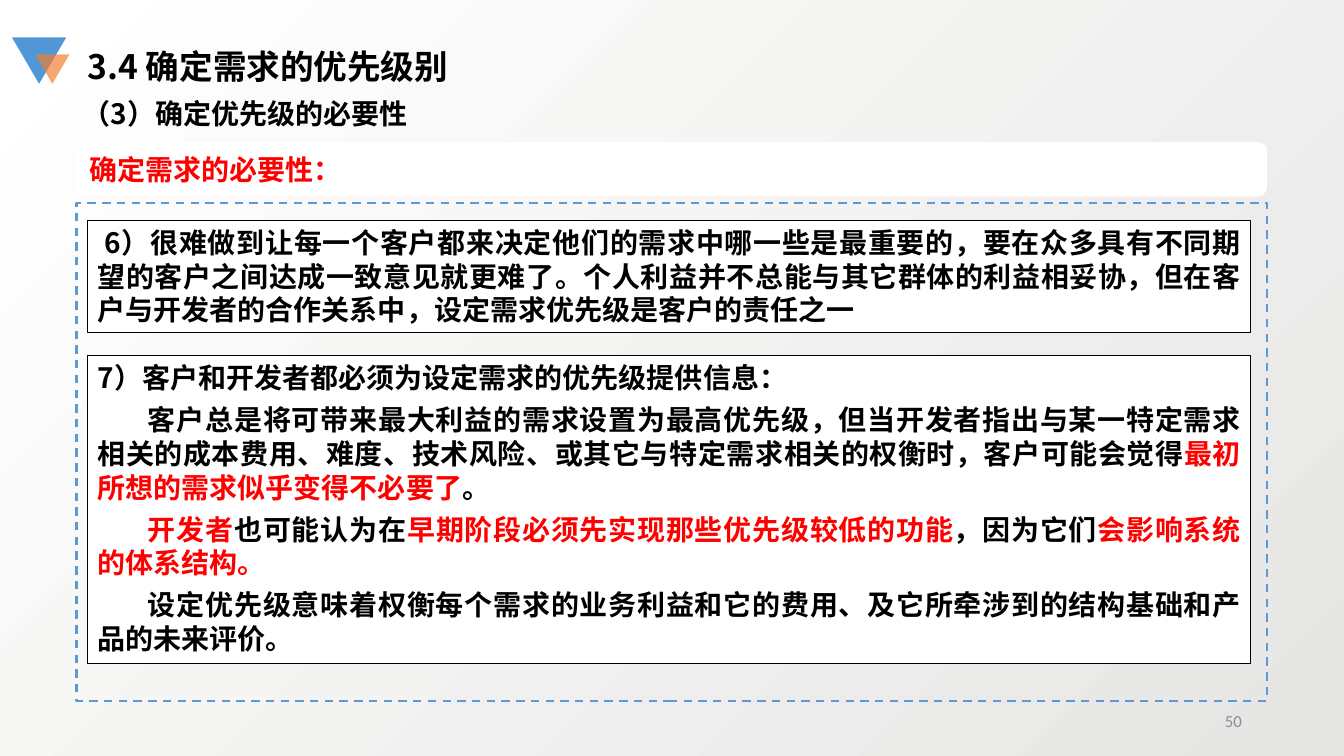
"""Build the slide on why requirements need priorities."""
from lxml.etree import SubElement
from pptx import Presentation
from pptx.dml.color import RGBColor
from pptx.enum.dml import MSO_LINE
from pptx.enum.shapes import MSO_SHAPE
from pptx.enum.text import MSO_ANCHOR, PP_ALIGN
from pptx.oxml.ns import qn
from pptx.util import Cm, Pt

BLACK = RGBColor(0, 0, 0)
WHITE = RGBColor(255, 255, 255)
RED = RGBColor(255, 0, 0)
GREY = RGBColor(0x8C, 0x8C, 0x8C)
PALE = RGBColor(0xE6, 0xE6, 0xE5)
BLUE = RGBColor(0x51, 0x97, 0xD7)
EDGE = RGBColor(0x5B, 0x9B, 0xD5)
ORANGE = RGBColor(0xF3, 0x7D, 0x2A)
SANS = "Noto Sans CJK SC"

TITLE = [[("3.4 确定需求的优先级别", BLACK)]]
TOPIC = [[("（3）确定优先级的必要性", BLACK)]]
BANNER = [[("确定需求的必要性：", RED)]]
NUMBER = [[("50", GREY)]]
SIX = [[(" 6）很难做到让每一个客户都来决定他们的需求中哪一些是最重要的，要在众多具有不同期望的客户之间达成一致意见就更难了。个人利益并不总能与其它群体的利益相妥协，但在客户与开发者的合作关系中，设定需求优先级是客户的责任之一", BLACK)]]
SEVEN = [
    [("7）客户和开发者都必须为设定需求的优先级提供信息：", BLACK)],
    [("客户总是将可带来最大利益的需求设置为最高优先级，但当开发者指出与某一特定需求相关的成本费用、难度、技术风险、或其它与特定需求相关的权衡时，客户可能会觉得", BLACK),
     ("最初所想的需求似乎变得不必要了", RED), ("。", BLACK)],
    [("开发者", RED), ("也可能认为在", BLACK),
     ("早期阶段必须先实现那些优先级较低的功能", RED),
     ("，因为它们", BLACK), ("会影响系统的体系结构。", RED)],
    [("设定优先级意味着权衡每个需求的业务利益和它的费用、及它所牵涉到的结构基础和产品的未来评价。", BLACK)],
]

HEAD = {"size": Pt(24), "bold": True, "name": SANS}
BODY = {"size": Pt(20), "bold": True, "name": SANS}
FOOT = {"size": Pt(12), "bold": False, "name": "Calibri"}

LEFT, WIDE = 1.93, 30
INNER, SPAN = 2.21, 29.31
MARKS = [((0.3, 0.94, 1.37, 1.17), BLUE, None),
         ((0.89, 1.37, 0.86, 0.74), ORANGE, 68)]
LABELS = [((23.93, 17.65, 7.62, 1.02), NUMBER, FOOT, PP_ALIGN.RIGHT, MSO_ANCHOR.MIDDLE),
          ((1.96, 1.02, 10.44, 1.27), TITLE, HEAD, PP_ALIGN.LEFT, MSO_ANCHOR.TOP),
          ((1.83, 2.31, 21.56, 1.12), TOPIC, BODY, PP_ALIGN.LEFT, MSO_ANCHOR.TOP)]
PANELS = [((INNER, 5.56, SPAN, 2.82), SIX), ((INNER, 8.97, SPAN, 7.75), SEVEN)]


def write(shape, paras, look, align, anchor):
    frame = shape.text_frame
    frame.word_wrap = True
    frame.vertical_anchor = anchor
    for i, runs in enumerate(paras):
        para = frame.paragraphs[0] if i == 0 else frame.add_paragraph()
        para.alignment = align
        if i < len(paras) - 1:
            para.space_after = Pt(6)
        if i:
            props = para._p.get_or_add_pPr()
            props.set("marL", "0")
            props.set("indent", str(Cm(1.27)))
        for text, color in runs:
            run = para.add_run()
            run.text = text
            for key, value in look.items():
                setattr(run.font, key, value)
            run.font.color.rgb = color
            SubElement(run._r.rPr, qn("a:ea"), typeface=look["name"])


def draw(slide, kind, area, fill=None, line=None, weight=0.75):
    shape = slide.shapes.add_shape(kind, *map(Cm, area))
    shape.shadow.inherit = False
    if fill is None:
        shape.fill.background()
    else:
        shape.fill.solid()
        shape.fill.fore_color.rgb = fill
    if line is None:
        shape.line.fill.background()
    else:
        shape.line.color.rgb = line
        shape.line.width = Pt(weight)
    return shape


def main():
    deck = Presentation()
    deck.slide_width, deck.slide_height = Cm(33.87), Cm(19.05)
    slide = deck.slides.add_slide(deck.slide_layouts[6])
    back = slide.background.fill
    back.gradient()
    back.gradient_angle = 135
    for stop, color in zip(back.gradient_stops, (PALE, WHITE)):
        stop.color.rgb = color

    for area, color, alpha in MARKS:
        mark = draw(slide, MSO_SHAPE.ISOSCELES_TRIANGLE, area, color)
        mark.rotation = 180
        if alpha:
            tint = mark._element.spPr.find(".//" + qn("a:srgbClr"))
            SubElement(tint, qn("a:alpha"), val=str(alpha * 1000))

    border = draw(slide, MSO_SHAPE.RECTANGLE, (LEFT, 5.11, WIDE, 12.55), None, EDGE, 1.5)
    border.line.dash_style = MSO_LINE.DASH
    for area, *rest in LABELS:
        write(slide.shapes.add_textbox(*map(Cm, area)), *rest)
    for area, paras in PANELS:
        panel = draw(slide, MSO_SHAPE.RECTANGLE, area, WHITE, BLACK)
        write(panel, paras, BODY, PP_ALIGN.JUSTIFY, MSO_ANCHOR.TOP)
    banner = draw(slide, MSO_SHAPE.ROUNDED_RECTANGLE, (LEFT, 3.58, WIDE, 1.37), WHITE)
    write(banner, BANNER, BODY, PP_ALIGN.LEFT, MSO_ANCHOR.MIDDLE)
    deck.save("out.pptx")


if __name__ == "__main__":
    main()
